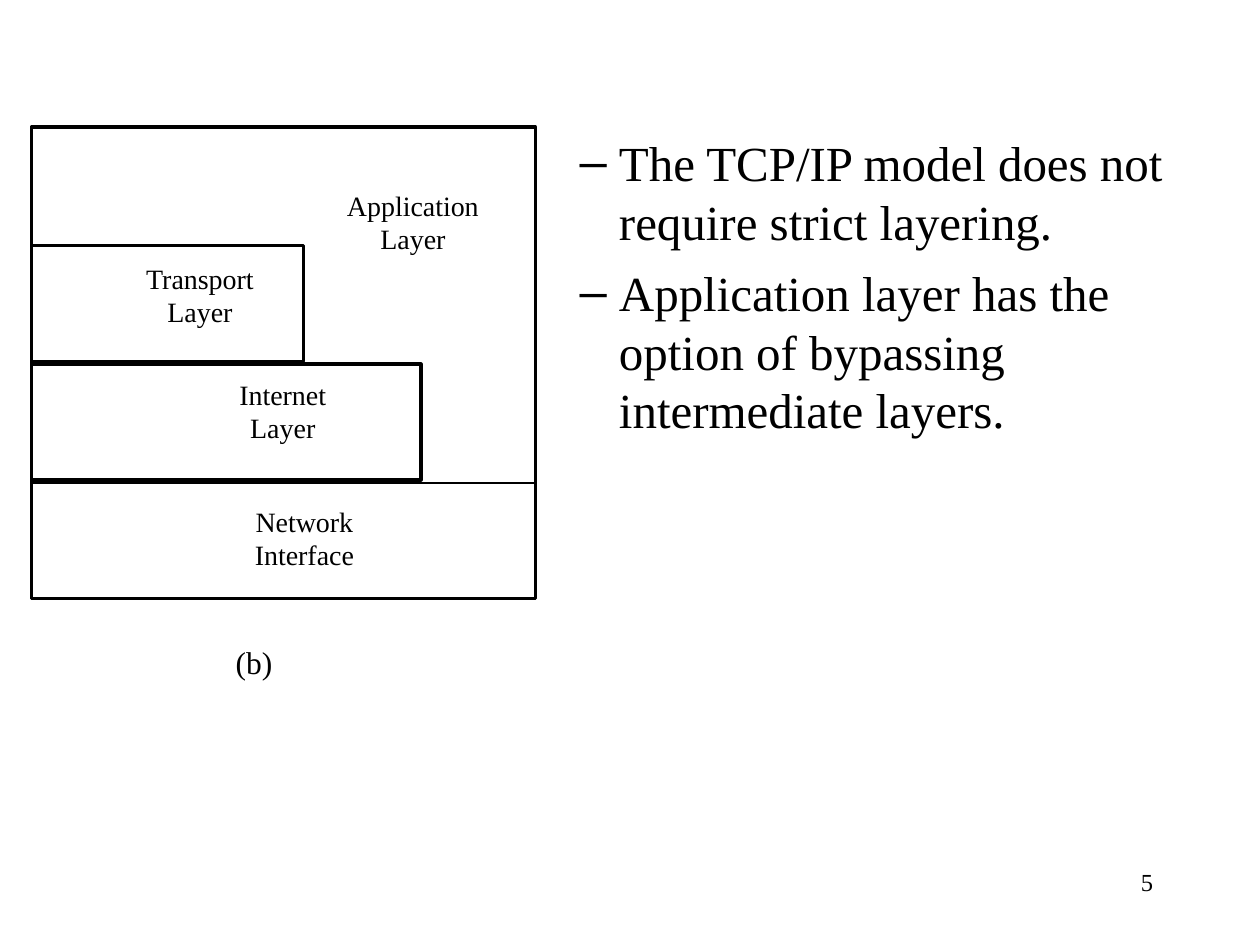
import dataclasses

import pptx
import pptx.dml.color
import pptx.enum.shapes
import pptx.enum.text
import pptx.oxml
import pptx.oxml.ns
import pptx.util

Pt = pptx.util.Pt
Align = pptx.enum.text.PP_ALIGN
Anchor = pptx.enum.text.MSO_ANCHOR
Fit = pptx.enum.text.MSO_AUTO_SIZE
FONT = "Times New Roman"
INK = "000000"
LEFT, WIDTH = 18, 288
TOP, HIGH, PITCH = 140.4, 66.2, 67.7


@dataclasses.dataclass
class Tier:
    y: float
    w: float
    h: float
    line: float


@dataclasses.dataclass
class Label:
    text: str
    x: float
    y: float
    w: float
    h: float
    size: float = 16
    align: Align = Align.CENTER
    anchor: Anchor = Anchor.TOP
    wrap: bool = False


TIERS = [
    Tier(72.7, WIDTH, 269.3, 2),
    Tier(TOP, 155.5, HIGH, 2),
    Tier(TOP + PITCH, 222.5, HIGH, 2),
    Tier(TOP + 2 * PITCH, WIDTH, HIGH, 1.25),
]
LABELS = [
    Label("Application\nLayer", 190.5, 104, 91, 45.4),
    Label("Transport\nLayer", 75.8, 145.7, 77, 45.4),
    Label("Internet\nLayer", 129.1, 212, 65, 45.4),
    Label("Network\nInterface", 138, 284.7, 72, 45.4),
    Label("(b)", 127.4, 363.6, 35.5, 28.8, 18, anchor=Anchor.MIDDLE),
    Label("5", 516.2, 491.8, 149.8, 36, 14, Align.RIGHT, wrap=True),
]
POINTS = [
    "The TCP/IP model does not require strict layering.",
    "Application layer has the option of bypassing intermediate layers.",
]


def tint(code: str) -> pptx.dml.color.RGBColor:
    return pptx.dml.color.RGBColor.from_string(code)


def style(para, size: float) -> None:
    for run in para.runs:
        run.font.name = FONT
        run.font.size = Pt(size)
        run.font.color.rgb = tint(INK)


def dash(para) -> None:
    """Give the paragraph a hanging en dash."""
    props = para._p.get_or_add_pPr()
    props.set("marL", str(Pt(58.5)))
    props.set("indent", str(Pt(-22.5)))
    space = pptx.oxml.ns.nsdecls("a")
    for part in (
        f'<a:buClr {space}><a:srgbClr val="{INK}"/></a:buClr>',
        f'<a:buChar {space} char="–"/>',
    ):
        props.append(pptx.oxml.parse_xml(part))


def draw_tier(slide, tier: Tier) -> None:
    box = slide.shapes.add_shape(
        pptx.enum.shapes.MSO_SHAPE.RECTANGLE,
        Pt(LEFT), Pt(tier.y), Pt(tier.w), Pt(tier.h))
    box.shadow.inherit = False
    box.fill.background()
    box.line.color.rgb = tint(INK)
    box.line.width = Pt(tier.line)


def draw_label(slide, label: Label) -> None:
    box = slide.shapes.add_textbox(
        Pt(label.x), Pt(label.y), Pt(label.w), Pt(label.h))
    frame = box.text_frame
    frame.word_wrap = label.wrap
    frame.auto_size = Fit.NONE if label.wrap else Fit.SHAPE_TO_FIT_TEXT
    frame.vertical_anchor = label.anchor
    frame.text = label.text
    for para in frame.paragraphs:
        para.alignment = label.align
        style(para, label.size)


def fill_body(body) -> None:
    body.left, body.top = Pt(288), Pt(72)
    body.width, body.height = Pt(390), Pt(360)
    frame = body.text_frame
    frame.text = "\n".join(POINTS)
    for para in frame.paragraphs:
        para.level = 1
        para.space_before = Pt(7)
        dash(para)
        style(para, 28)


def main() -> None:
    deck = pptx.Presentation()
    deck.slide_width, deck.slide_height = Pt(720), Pt(540)
    slide = deck.slides.add_slide(deck.slide_layouts[1])
    title = slide.shapes.title
    title.element.getparent().remove(title.element)
    fill_body(slide.placeholders[1])
    for tier in TIERS:
        draw_tier(slide, tier)
    for label in LABELS:
        draw_label(slide, label)
    deck.save("out.pptx")


if __name__ == "__main__":
    main()
